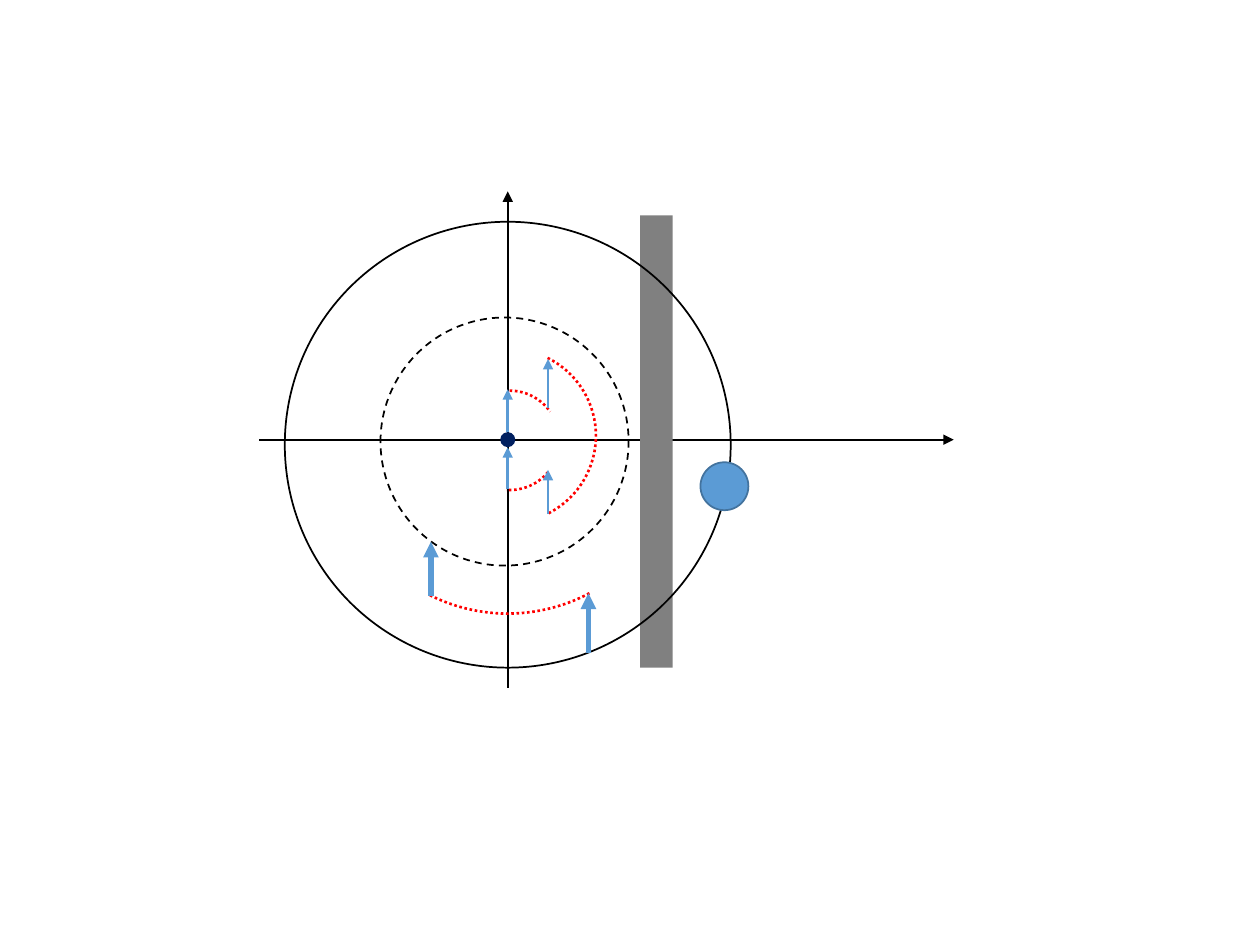
from pptx import Presentation
from pptx.dml.color import RGBColor
from pptx.enum.dml import MSO_LINE_DASH_STYLE as Dash
from pptx.enum.shapes import MSO_CONNECTOR, MSO_SHAPE as Shape
from pptx.oxml.ns import qn
from pptx.util import Pt
from lxml import etree

BLACK, GRAY, RED = "000000", "808080", "FF0000"
BLUE, DARK_BLUE, NAVY = "5B9BD5", "43739E", "002060"


def color(hex_value):
    return RGBColor.from_string(hex_value)


def style_line(line, hex_value, width, dash=None):
    line.color.rgb = color(hex_value)
    for name, value in {"width": Pt(width), "dash_style": dash}.items():
        setattr(line, name, value)


def add_arrow(group, start, end, hex_value, width):
    points = [Pt(value) for value in (*start, *end)]
    arrow = group.shapes.add_connector(MSO_CONNECTOR.STRAIGHT, *points)
    style_line(arrow.line, hex_value, width)
    etree.SubElement(arrow.line._get_or_add_ln(), qn("a:tailEnd"), type="triangle")
    etree.SubElement(arrow._element.spPr, qn("a:effectLst"))


def add_figure(group, kind, left, top, width, height, fill=None, line=None):
    """Add a preset shape; line is (colour, width) or (colour, width, dash)."""
    shape = group.shapes.add_shape(kind, Pt(left), Pt(top), Pt(width), Pt(height))
    shape.shadow.inherit = False
    if fill:
        shape.fill.solid()
        shape.fill.fore_color.rgb = color(fill)
    else:
        shape.fill.background()
    if line:
        style_line(shape.line, *line)
    else:
        shape.line.fill.background()
    return shape


def add_round(group, center, radius, kind=Shape.OVAL, **style):
    x, y = center
    return add_figure(group, kind, x - radius, y - radius,
                      2 * radius, 2 * radius, **style)


def add_arc(group, center, radius, start, sweep):
    """Add a dotted arc; angles run clockwise in degrees from the right."""
    arc = add_round(group, center, radius, Shape.ARC,
                    line=(RED, 1.5, Dash.ROUND_DOT))
    # The arc begins at the top (270 degrees) and is then rotated into place.
    # One degree is 60000 units, and adjustments are divided by 100000.
    arc.adjustments[0] = 270 * 0.6
    arc.adjustments[1] = (270 + sweep) % 360 * 0.6
    arc.rotation = (start + 90) % 360


def add_diagram(slide, left, top, width, height):
    group = slide.shapes.add_group_shape()
    origin_x, origin_y = left + height / 2, top + height / 2

    def at(x, y):
        return origin_x + x, origin_y + y

    # Axes
    add_arrow(group, (left, origin_y), (left + width, origin_y), BLACK, 1)
    add_arrow(group, (origin_x, top + height), (origin_x, top), BLACK, 1)

    # Wall, outer orbit, ball and inner orbit
    add_figure(group, Shape.RECTANGLE, *at(75.6, -128.2), 18.7, 258.5, fill=GRAY)
    add_round(group, at(0, 2.9), 127.4, line=(BLACK, 1))
    add_round(group, at(123.8, 26.6), 13.7, fill=BLUE, line=(DARK_BLUE, 1))
    add_round(group, at(-1.8, 1.1), 70.9, line=(BLACK, 1, Dash.DASH))

    # Dotted arcs: centre, radius, start angle, sweep
    for center, radius, start, sweep in (
        ((0, 0), 99.4, 62, 54.6),
        ((0.7, -2.2), 49.7, -63.6, 128),
        ((1.1, 0.4), 28.4, -90, 54.6),
        ((1.1, 0.4), 28.4, 39.5, 54.6),
    ):
        add_arc(group, at(*center), radius, start, sweep)

    # Upward arrows: x, lower end, upper end, line width
    for x, low, high, line_width in (
        (46.1, 121.7, 87.8, 3),
        (-43.9, 89.3, 58.3, 3),
        (23, -18, -46.1, 1.5),
        (0, 28.1, 4.3, 1.5),
        (23, 42.5, 17.3, 1.5),
        (0, -4.3, -28.8, 1.5),
    ):
        add_arrow(group, at(x, low), at(x, high), BLUE, line_width)

    # Origin
    add_round(group, at(0, 0), 4.3, fill=NAVY)


def main():
    presentation = Presentation()
    presentation.slide_width, presentation.slide_height = Pt(720), Pt(540)
    slide = presentation.slides.add_slide(presentation.slide_layouts[6])
    add_diagram(slide, 148.3, 109.4, 396.7, 283.7)
    presentation.save("out.pptx")


if __name__ == "__main__":
    main()
